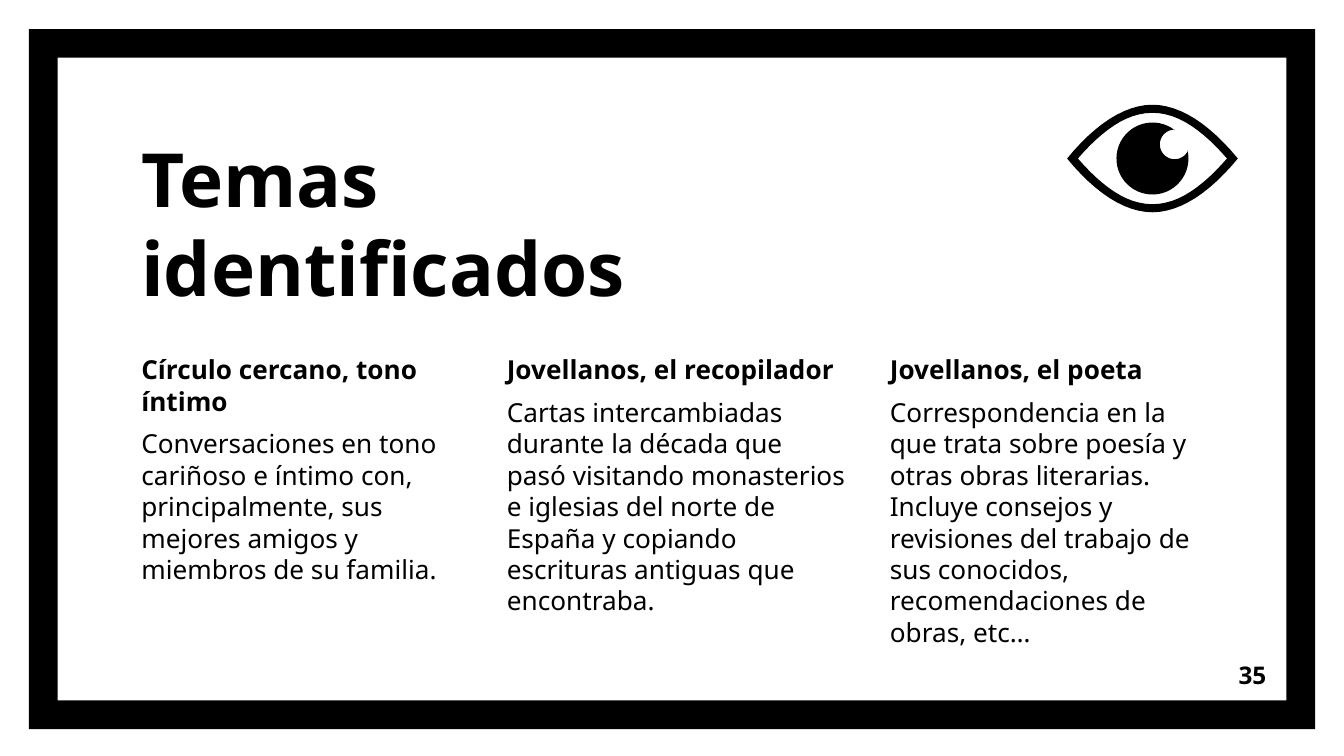
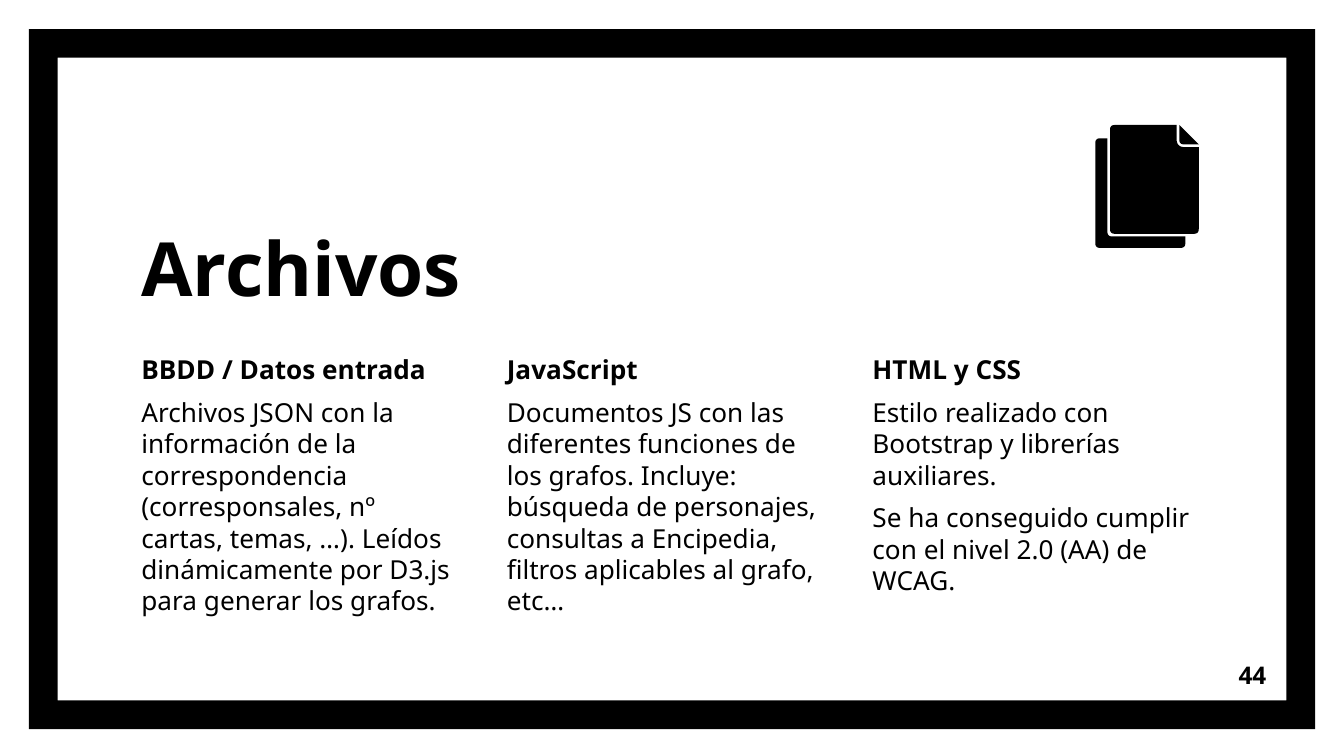
from dataclasses import dataclass
from math import cos, radians, sin
from typing import NamedTuple

from pptx import Presentation
from pptx.dml.color import RGBColor
from pptx.enum.shapes import MSO_SHAPE as Preset
from pptx.enum.text import MSO_ANCHOR as Anchor, PP_ALIGN as Align
from pptx.util import Inches, Pt

SLIDE_WIDTH = Inches(10)
SLIDE_HEIGHT = SLIDE_WIDTH * 9 // 16
GRID_COLUMNS = 100
UNIT = SLIDE_WIDTH / GRID_COLUMNS


@dataclass(frozen=True)
class Theme:
    ink: RGBColor = RGBColor(0, 0, 0)
    paper: RGBColor = RGBColor(255, 255, 255)
    font: str = "Noto Sans"
    title_size: int = 40
    body_size: int = 14
    number_size: int = 13
    paragraph_gap: int = 6
    inset: float = 1


THEME = Theme()


class Point(NamedTuple):
    x: float
    y: float


class Corner(NamedTuple):
    x: float
    y: float
    radius: float = 0


class Box(NamedTuple):
    left: float
    top: float
    width: float
    height: float


Contour = list[Point]
Icon = list[list[Contour]]

FRAME = Box(2.16, 2.16, 95.7, 52.1)
FRAME_THICKNESS = 0.041
TITLE = Box(9.53, 9.3, 55.7, 14.9)
NUMBER = Box(89.2, 48.04, 6, 4.3)
BODY_TOP, BODY_HEIGHT = 25.33, 22.3
BODY_WIDTH, WIDE_BODY_WIDTH = 25.9, 27.2
BODY_GAP = 1.3


@dataclass(frozen=True)
class Column:
    heading: str
    texts: list[str]
    width: float = BODY_WIDTH


@dataclass(frozen=True)
class Page:
    title: str
    number: int
    columns: list[Column]
    icon: Icon


def grid(value: float) -> int:
    return round(value * UNIT)


def place(box: Box) -> tuple[int, ...]:
    return tuple(grid(value) for value in box)


def bezier(*controls: Point, steps: int = 12) -> Contour:
    def at(time: float) -> Point:
        points = list(controls)
        while len(points) > 1:
            points = [
                Point(a.x + (b.x - a.x) * time, a.y + (b.y - a.y) * time)
                for a, b in zip(points, points[1:])
            ]
        return points[0]

    return [at(step / steps) for step in range(steps + 1)]


def arc(center: Point, radius: float, start: float, end: float, steps: int = 48) -> Contour:
    angles = [radians(start + (end - start) * step / steps) for step in range(steps + 1)]
    return [Point(center.x + radius * cos(angle), center.y + radius * sin(angle)) for angle in angles]


def lens(center: Point, half_width: float, half_height: float, side: Point, crown: float) -> Contour:
    quarter = bezier(Point(-half_width, 0), side, Point(-crown, -half_height), Point(0, -half_height))
    upper = quarter + [Point(-x, y) for x, y in reversed(quarter)]
    lower = [Point(x, -y) for x, y in reversed(upper)]
    return [Point(center.x + x, center.y + y) for x, y in upper + lower]


def rounded(*corners: Corner) -> Contour:
    def toward(corner: Corner, other: Corner) -> Point:
        length = abs(other.x - corner.x) + abs(other.y - corner.y)
        share = corner.radius / length
        return Point(corner.x + (other.x - corner.x) * share, corner.y + (other.y - corner.y) * share)

    outline: Contour = []
    for index, corner in enumerate(corners):
        before, after = corners[index - 1], corners[(index + 1) % len(corners)]
        tip = Point(corner.x, corner.y)
        if corner.radius:
            outline += bezier(toward(corner, before), tip, toward(corner, after), steps=6)
        else:
            outline.append(tip)
    return outline


def eye_icon() -> Icon:
    center, glint = Point(85.75, 11.8), Point(87.4, 10.75)
    eyelids = [
        lens(center, 5.55, 3.4, Point(-3.8, -2), 2),
        lens(center, 6.35, 4, Point(-4.3, -2.5), 2.1),
    ]
    iris = arc(center, 2.68, -13, 308) + arc(glint, 1.1, -90, -336)
    return [eyelids, [iris]]


def files_icon() -> Icon:
    back = rounded(
        Corner(81.5, 10.3, 0.35), Corner(82.4, 10.3), Corner(82.4, 17.6, 0.35),
        Corner(88.2, 17.6), Corner(88.2, 18.45, 0.35), Corner(81.5, 18.45, 0.35),
    )
    front = rounded(
        Corner(82.6, 9.3, 0.35), Corner(87.55, 9.3), Corner(87.55, 10.95, 0.6),
        Corner(89.2, 10.95), Corner(89.2, 17.4, 0.35), Corner(82.6, 17.4, 0.35),
    )
    fold = rounded(Corner(87.75, 9.3), Corner(87.75, 10.75, 0.35), Corner(89.2, 10.75))
    return [[back], [front], [fold]]


def paint(shape) -> None:
    shape.shadow.inherit = False
    shape.fill.solid()
    shape.fill.fore_color.rgb = THEME.ink
    shape.line.fill.background()


def add_outline(slide, contours: list[Contour]) -> None:
    paths = [[(grid(x), grid(y)) for x, y in contour] for contour in contours]
    builder = slide.shapes.build_freeform(*paths[0][0], scale=1.0)
    builder.add_line_segments(paths[0][1:], close=True)
    for path in paths[1:]:
        builder.move_to(*path[0])
        builder.add_line_segments(path[1:], close=True)
    paint(builder.convert_to_shape())


def add_text(
    slide,
    box: Box,
    texts: list[str],
    *,
    size: int,
    bold_count: int = 1,
    anchor: Anchor = Anchor.TOP,
    align: Align = Align.LEFT,
) -> None:
    frame = slide.shapes.add_textbox(*place(box)).text_frame
    frame.word_wrap = True
    frame.vertical_anchor = anchor
    frame.margin_left = frame.margin_right = grid(THEME.inset)
    frame.margin_top = frame.margin_bottom = grid(THEME.inset)
    for index, text in enumerate(texts):
        paragraph = frame.add_paragraph() if index else frame.paragraphs[0]
        paragraph.alignment = align
        paragraph.space_before = Pt(THEME.paragraph_gap if index else 0)
        run = paragraph.add_run()
        run.text = text
        run.font.name = THEME.font
        run.font.size = Pt(size)
        run.font.bold = index < bold_count
        run.font.color.rgb = THEME.ink


def add_page(presentation, page: Page) -> None:
    slide = presentation.slides.add_slide(presentation.slide_layouts[6])
    slide.background.fill.solid()
    slide.background.fill.fore_color.rgb = THEME.paper
    frame = slide.shapes.add_shape(Preset.FRAME, *place(FRAME))
    frame.adjustments[0] = FRAME_THICKNESS
    paint(frame)

    add_text(slide, TITLE, [page.title], size=THEME.title_size, anchor=Anchor.BOTTOM)
    left = TITLE.left
    for column in page.columns:
        box = Box(left, BODY_TOP, column.width, BODY_HEIGHT)
        add_text(slide, box, [column.heading, *column.texts], size=THEME.body_size)
        left += column.width + BODY_GAP
    add_text(
        slide, NUMBER, [str(page.number)],
        size=THEME.number_size, anchor=Anchor.MIDDLE, align=Align.RIGHT,
    )
    for contours in page.icon:
        add_outline(slide, contours)


PAGES = [
    Page("Temas identificados", 35, [
        Column("Círculo cercano, tono íntimo", [
            "Conversaciones en tono cariñoso e íntimo con, principalmente, "
            "sus mejores amigos y miembros de su familia.",
        ]),
        Column("Jovellanos, el recopilador", [
            "Cartas intercambiadas durante la década que pasó visitando monasterios "
            "e iglesias del norte de España y copiando escrituras antiguas que encontraba.",
        ], WIDE_BODY_WIDTH),
        Column("Jovellanos, el poeta", [
            "Correspondencia en la que trata sobre poesía y otras obras literarias. "
            "Incluye consejos y revisiones del trabajo de sus conocidos, "
            "recomendaciones de obras, etc…",
        ]),
    ], eye_icon()),
    Page("Archivos", 44, [
        Column("BBDD / Datos entrada", [
            "Archivos JSON con la información de la correspondencia "
            "(corresponsales, nº cartas, temas, …). Leídos dinámicamente por D3.js "
            "para generar los grafos.",
        ]),
        Column("JavaScript", [
            "Documentos JS con las diferentes funciones de los grafos. Incluye: "
            "búsqueda de personajes, consultas a Encipedia, "
            "filtros aplicables al grafo, etc…",
        ]),
        Column("HTML y CSS", [
            "Estilo realizado con Bootstrap y librerías auxiliares.",
            "Se ha conseguido cumplir con el nivel 2.0 (AA) de WCAG.",
        ]),
    ], files_icon()),
]


def main() -> None:
    presentation = Presentation()
    presentation.slide_width = SLIDE_WIDTH
    presentation.slide_height = SLIDE_HEIGHT
    for page in PAGES:
        add_page(presentation, page)
    presentation.save("out.pptx")


if __name__ == "__main__":
    main()
